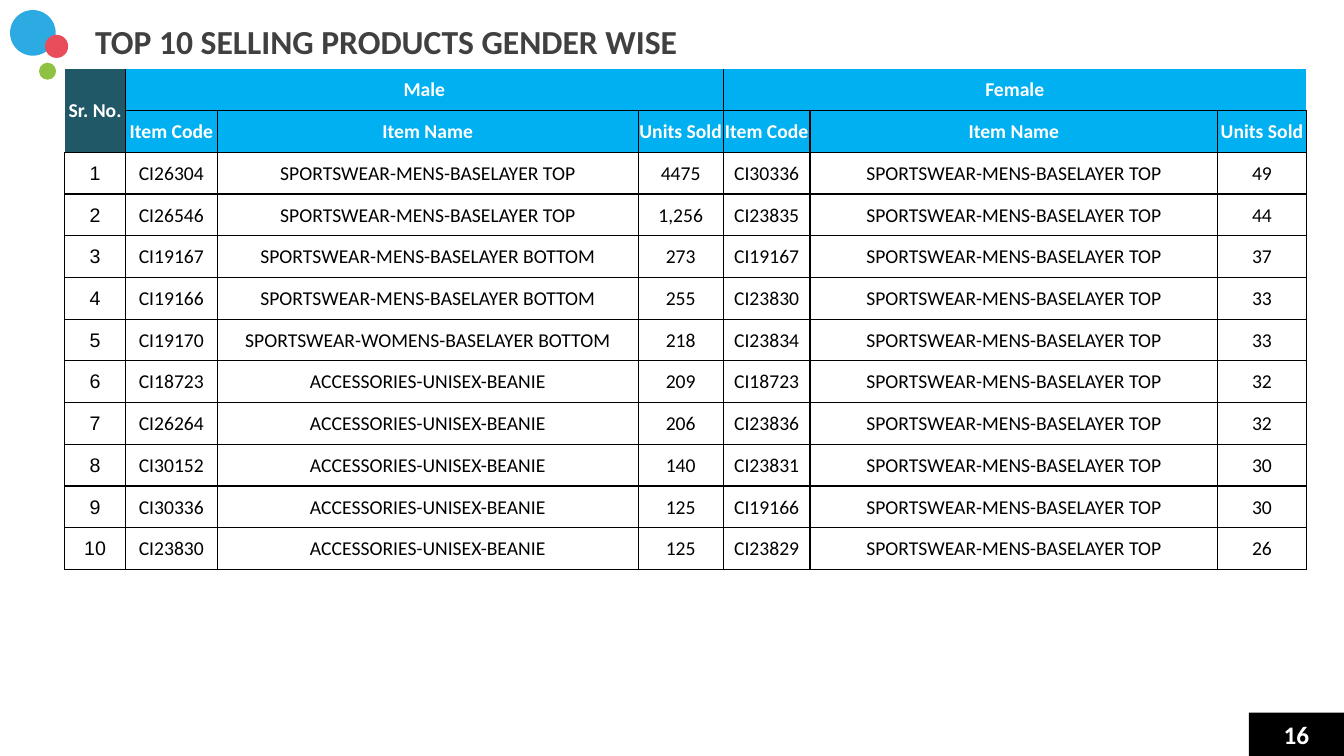
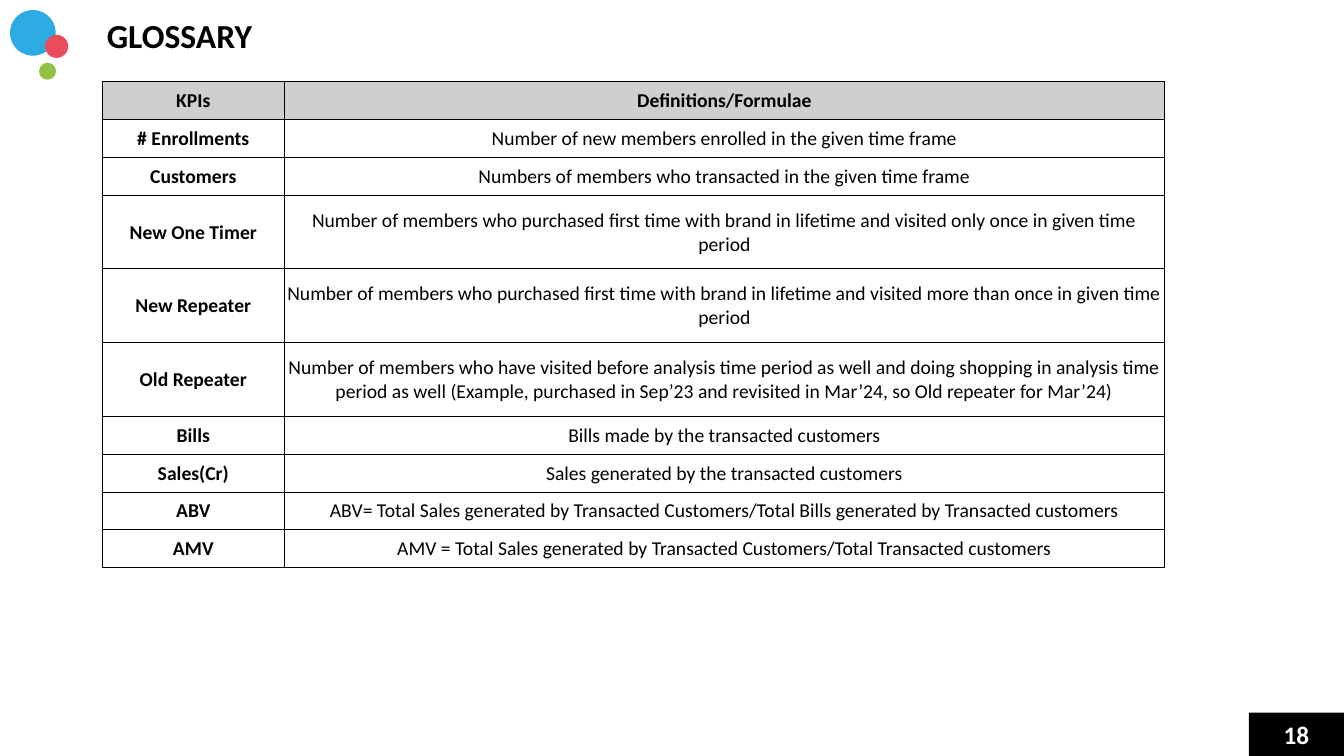
from dataclasses import dataclass
from typing import NamedTuple

from lxml.etree import SubElement
from pptx import Presentation
from pptx.dml.color import RGBColor
from pptx.enum.shapes import MSO_SHAPE
from pptx.enum.text import MSO_ANCHOR, PP_ALIGN
from pptx.oxml.ns import qn
from pptx.util import Pt

BLACK, WHITE, DARK_GREY = "000000", "FFFFFF", "404040"
SKY, TEAL, GREY = "00B0F0", "205868", "D0CECE"
BODY_FONT, NUMBER_FONT = "Calibri", "Arial"
SIDES = {"l": "a:lnL", "r": "a:lnR", "t": "a:lnT", "b": "a:lnB"}


class Dot(NamedTuple):
    left: float
    top: float
    size: float
    color: str


class Item(NamedTuple):
    code: str
    name: str
    sold: str


class Kpi(NamedTuple):
    name: str
    definition: str
    height: float = 27


@dataclass
class CellStyle:
    color: str = BLACK
    bold: bool = False
    fill: str | None = None
    font: str = BODY_FONT
    sides: str = "lrtb"
    line: float = 1


DOTS = [
    Dot(7.2, 7.2, 32.6, "2CAAE2"),
    Dot(32.2, 24.9, 16.5, "E94D5B"),
    Dot(27.9, 44.8, 12.2, "8FC143"),
]

BASE_TOP = "SPORTSWEAR-MENS-BASELAYER TOP"
BASE_BOTTOM = "SPORTSWEAR-MENS-BASELAYER BOTTOM"
BEANIE = "ACCESSORIES-UNISEX-BEANIE"

MALE = [
    Item("CI26304", BASE_TOP, "4475"),
    Item("CI26546", BASE_TOP, "1,256"),
    Item("CI19167", BASE_BOTTOM, "273"),
    Item("CI19166", BASE_BOTTOM, "255"),
    Item("CI19170", "SPORTSWEAR-WOMENS-BASELAYER BOTTOM", "218"),
    Item("CI18723", BEANIE, "209"),
    Item("CI26264", BEANIE, "206"),
    Item("CI30152", BEANIE, "140"),
    Item("CI30336", BEANIE, "125"),
    Item("CI23830", BEANIE, "125"),
]
FEMALE = [
    Item(code, BASE_TOP, sold)
    for code, sold in [
        ("CI30336", "49"), ("CI23835", "44"), ("CI19167", "37"),
        ("CI23830", "33"), ("CI23834", "33"), ("CI18723", "32"),
        ("CI23836", "32"), ("CI23831", "30"), ("CI19166", "30"),
        ("CI23829", "26"),
    ]
]
ITEM_HEADS = ("Item Code", "Item Name", "Units Sold")

TALL = 52.7
KPIS = [
    Kpi("KPIs", "Definitions/Formulae"),
    Kpi("# Enrollments", "Number of new members enrolled in the given time frame"),
    Kpi("Customers", "Numbers of members who transacted in the given time frame"),
    Kpi("New One Timer", "Number of members who purchased first time with brand in "
        "lifetime and visited only once in given time period", TALL),
    Kpi("New Repeater", "Number of members who purchased first time with brand in "
        "lifetime and visited more than once in given time period", TALL),
    Kpi("Old Repeater", "Number of members who have visited before analysis time period "
        "as well and doing shopping in analysis time period as well (Example, purchased "
        "in Sep’23 and revisited in Mar’24, so Old repeater for Mar’24)", TALL),
    Kpi("Bills", "Bills made by the transacted customers"),
    Kpi("Sales(Cr)", "Sales generated by the transacted customers"),
    Kpi("ABV", "ABV= Total Sales generated by Transacted Customers/"
        "Total Bills generated by Transacted customers"),
    Kpi("AMV", "AMV = Total Sales generated by Transacted Customers/"
        "Total Transacted customers"),
]


def rgb(color: str) -> RGBColor:
    return RGBColor.from_string(color)


def write(tf, text: str, size: float, color: str, bold: bool,
          align=PP_ALIGN.CENTER, font: str = BODY_FONT) -> None:
    tf.text = text
    p = tf.paragraphs[0]
    p.alignment = align
    f = p.runs[0].font
    f.name, f.size, f.bold = font, Pt(size), bold
    f.color.rgb = rgb(color)


def add_block(s, kind, left: float, top: float, width: float, height: float, color: str):
    sp = s.shapes.add_shape(kind, Pt(left), Pt(top), Pt(width), Pt(height))
    sp.shadow.inherit = False
    sp.fill.solid()
    sp.fill.fore_color.rgb = rgb(color)
    sp.line.fill.background()
    return sp


def add_slide(prs, title: str, left: float, top: float, color: str, number: int):
    s = prs.slides.add_slide(prs.slide_layouts[5])
    for dot in DOTS:
        add_block(s, MSO_SHAPE.OVAL, dot.left, dot.top, dot.size, dot.size, dot.color)
    page = add_block(s, MSO_SHAPE.RECTANGLE, 892, 509, 68, 31, BLACK)
    page.text_frame.vertical_anchor = MSO_ANCHOR.MIDDLE
    write(page.text_frame, str(number), 18, WHITE, True)

    sp = s.shapes.title
    sp.left, sp.top, sp.width, sp.height = Pt(left), Pt(top), Pt(770), Pt(32)
    tf = sp.text_frame
    tf.margin_left = tf.margin_right = tf.margin_top = tf.margin_bottom = 0
    tf.vertical_anchor = MSO_ANCHOR.MIDDLE
    write(tf, title, 24, color, True, PP_ALIGN.LEFT)
    return s


def add_grid(s, left: float, top: float, widths: list[float], heights: list[float]):
    table = s.shapes.add_table(len(heights), len(widths), Pt(left), Pt(top),
                               Pt(sum(widths)), Pt(sum(heights))).table
    table.first_row = table.horz_banding = False
    for col, width in zip(table.columns, widths):
        col.width = Pt(width)
    for row, height in zip(table.rows, heights):
        row.height = Pt(height)
    return table


def set_borders(cell, sides: str, line: float) -> None:
    tc_pr = cell._tc.get_or_add_tcPr()
    for i, (side, tag) in enumerate(SIDES.items()):
        ln = SubElement(tc_pr, qn(tag), w=str(Pt(line)))
        tc_pr.insert(i, ln)
        if side in sides:
            fill = SubElement(ln, qn("a:solidFill"))
            SubElement(fill, qn("a:srgbClr"), val=BLACK)
        else:
            SubElement(ln, qn("a:noFill"))


def fill_cell(cell, text: str, style: CellStyle) -> None:
    cell.margin_left = cell.margin_right = cell.margin_top = Pt(0.7)
    cell.margin_bottom = 0
    cell.vertical_anchor = MSO_ANCHOR.MIDDLE
    write(cell.text_frame, text, 14, style.color, style.bold, font=style.font)
    if style.fill:
        cell.fill.solid()
        cell.fill.fore_color.rgb = rgb(style.fill)
    else:
        cell.fill.background()
    set_borders(cell, style.sides, style.line)


def build_products(prs) -> None:
    s = add_slide(prs, "TOP 10 SELLING PRODUCTS GENDER WISE", 68, 13, DARK_GREY, 16)
    widths = [43.3, 65.7, 300.6, 60.8, 62, 291.2, 63.3]
    table = add_grid(s, 46.3, 49.2, widths, [29.8] * (len(MALE) + 2))

    heads = [
        ("Sr. No.", 0, 1, 0, TEAL, "rb"),
        ("Male", 1, 0, 3, SKY, "lrb"),
        ("Female", 4, 0, 6, SKY, "lb"),
    ]
    for text, col, last_row, last_col, fill, sides in heads:
        cell = table.cell(0, col)
        cell.merge(table.cell(last_row, last_col))
        fill_cell(cell, text, CellStyle(WHITE, True, fill, sides=sides))
    for col, text in enumerate(ITEM_HEADS * 2, 1):
        fill_cell(table.cell(1, col), text, CellStyle(WHITE, True, SKY))

    for rank, (male, female) in enumerate(zip(MALE, FEMALE), 1):
        for col, text in enumerate((str(rank), *male, *female)):
            font = BODY_FONT if col else NUMBER_FONT
            fill_cell(table.cell(rank + 1, col), text, CellStyle(font=font))


def build_glossary(prs) -> None:
    s = add_slide(prs, "GLOSSARY", 76.3, 9, BLACK, 18)
    table = add_grid(s, 73, 58.3, [130.2, 628.6], [kpi.height for kpi in KPIS])
    for row, kpi in enumerate(KPIS):
        for col, text in enumerate((kpi.name, kpi.definition)):
            style = CellStyle(bold=row == 0 or col == 0,
                              fill=None if row else GREY, line=0.5)
            fill_cell(table.cell(row, col), text, style)


def main() -> None:
    prs = Presentation()
    prs.slide_width, prs.slide_height = Pt(960), Pt(540)
    build_products(prs)
    build_glossary(prs)
    prs.save("out.pptx")


if __name__ == "__main__":
    main()
